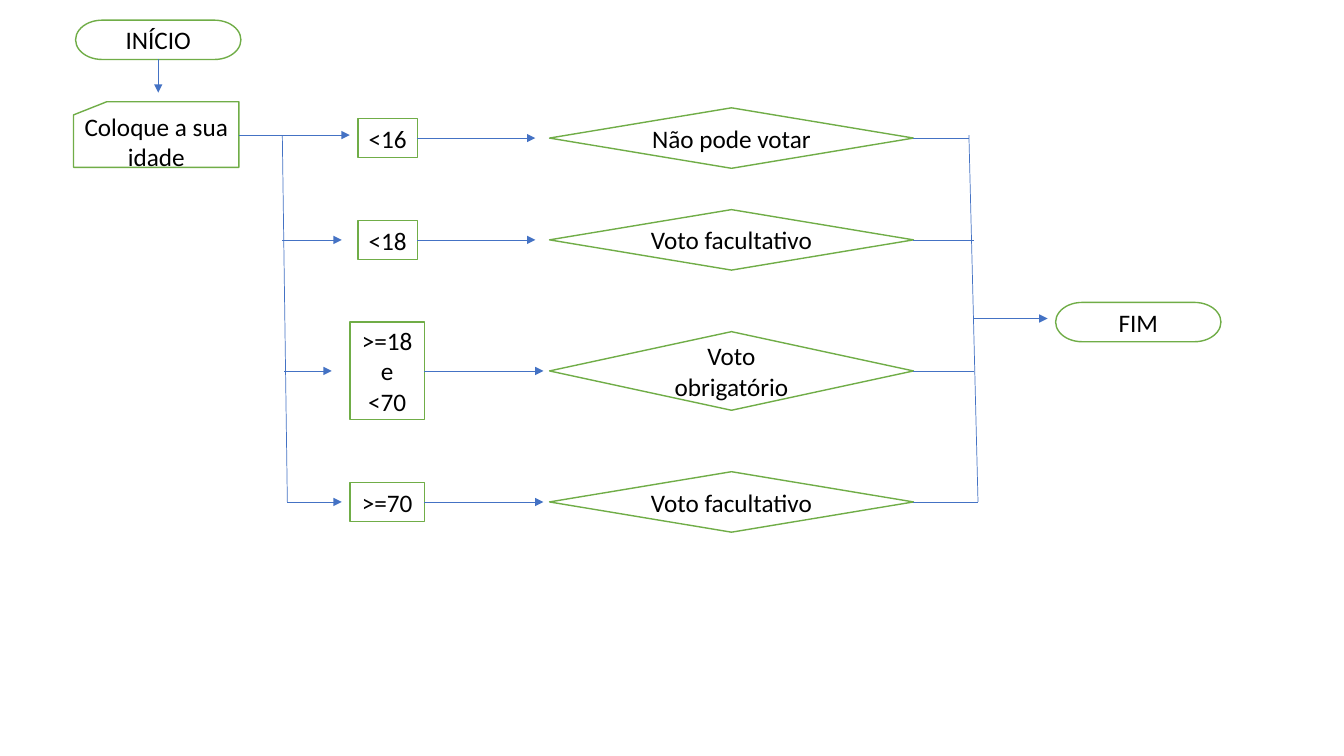
from dataclasses import dataclass

from lxml import etree
from pptx import Presentation
from pptx.dml.color import RGBColor
from pptx.enum import shapes as kinds, text as txt
from pptx.oxml import ns
from pptx.util import Inches, Pt

GREEN, BLUE, WHITE, BLACK = "70AD47", "4472C4", "FFFFFF", "000000"
SHAPE = kinds.MSO_SHAPE
RESULT_LEFT, RESULT_WIDTH = 5.45, 3.61
TERMINAL_WIDTH, TERMINAL_HEIGHT = 1.64, 0.39


@dataclass
class Step:
    label: str
    kind: int
    left: float
    top: float
    width: float
    height: float


@dataclass
class Flow:
    x1: float
    y1: float
    x2: float
    y2: float
    arrow: bool = True


@dataclass
class Branch:
    condition: str
    result: str
    middle: float
    condition_left: float
    condition_width: float
    condition_height: float
    result_height: float
    result_arrow_end: float
    merge_x: float

    def steps(self) -> list[Step]:
        return [
            Step(self.condition, SHAPE.RECTANGLE, self.condition_left,
                 self.middle - self.condition_height / 2,
                 self.condition_width, self.condition_height),
            Step(self.result, SHAPE.FLOWCHART_DECISION, RESULT_LEFT,
                 self.middle - self.result_height / 2,
                 RESULT_WIDTH, self.result_height),
        ]

    def flows(self) -> list[Flow]:
        condition_right = self.condition_left + self.condition_width
        return [
            Flow(condition_right, self.middle, self.result_arrow_end, self.middle),
            Flow(RESULT_LEFT + RESULT_WIDTH, self.middle,
                 self.merge_x, self.middle, arrow=False),
        ]


def color(hex_value: str) -> RGBColor:
    return RGBColor.from_string(hex_value)


def draw_step(slide, step: Step) -> None:
    box = slide.shapes.add_shape(step.kind, Inches(step.left), Inches(step.top),
                                 Inches(step.width), Inches(step.height))
    box.shadow.inherit = False
    box.fill.solid()
    box.fill.fore_color.rgb = color(WHITE)
    box.line.color.rgb = color(GREEN)
    box.line.width = Pt(1)
    frame = box.text_frame
    frame.word_wrap = True
    frame.vertical_anchor = txt.MSO_ANCHOR.MIDDLE
    frame.text = step.label
    paragraph = frame.paragraphs[0]
    paragraph.alignment = txt.PP_ALIGN.CENTER
    font = paragraph.runs[0].font
    font.name = "Calibri"
    font.size = Pt(18)
    font.color.rgb = color(BLACK)


def draw_flow(slide, flow: Flow) -> None:
    line = slide.shapes.add_connector(
        kinds.MSO_CONNECTOR.STRAIGHT, Inches(flow.x1), Inches(flow.y1),
        Inches(flow.x2), Inches(flow.y2))
    line.line.color.rgb = color(BLUE)
    line.line.width = Pt(0.5)
    if flow.arrow:
        etree.SubElement(line.line._get_or_add_ln(), ns.qn("a:tailEnd"), type="triangle")
    etree.SubElement(line._element.spPr, ns.qn("a:effectLst"))


# Start, question and end
MAIN_STEPS = [
    Step("INÍCIO", SHAPE.FLOWCHART_TERMINATOR, 0.75, 0.2, TERMINAL_WIDTH, TERMINAL_HEIGHT),
    Step("Coloque a sua idade", SHAPE.FLOWCHART_CARD, 0.73, 1.01, 1.64, 0.65),
    Step("FIM", SHAPE.FLOWCHART_TERMINATOR, 10.47, 3, TERMINAL_WIDTH, TERMINAL_HEIGHT),
]

# One branch per age range
BRANCHES = [
    Branch("<16", "Não pode votar", 1.37, 3.55, 0.59, 0.39, 0.6, 5.31, 9.61),
    Branch("<18", "Voto facultativo", 2.38, 3.55, 0.59, 0.39, 0.6, 5.31, 9.66),
    Branch(">=18 e <70", "Voto obrigatório", 3.68, 3.47, 0.74, 0.97, 0.78, 5.39, 9.66),
    Branch(">=70", "Voto facultativo", 4.98, 3.47, 0.74, 0.39, 0.6, 5.39, 9.7),
]

# Distribution to the branches, and their merge towards the end
MAIN_FLOWS = [
    Flow(1.57, 0.59, 1.57, 0.92),
    Flow(2.37, 1.34, 3.47, 1.34),
    Flow(2.8, 1.34, 2.85, 4.98, arrow=False),
    Flow(2.8, 2.38, 3.39, 2.38),
    Flow(2.82, 3.68, 3.29, 3.68),
    Flow(2.85, 4.98, 3.39, 4.98),
    Flow(9.61, 1.34, 9.7, 4.98, arrow=False),
    Flow(9.66, 3.16, 10.39, 3.16),
]


def main() -> None:
    deck = Presentation()
    deck.slide_width, deck.slide_height = Inches(13.33), Inches(7.5)
    slide = deck.slides.add_slide(deck.slide_layouts[6])
    steps, flows = list(MAIN_STEPS), list(MAIN_FLOWS)
    for branch in BRANCHES:
        steps += branch.steps()
        flows += branch.flows()
    for step in steps:
        draw_step(slide, step)
    for flow in flows:
        draw_flow(slide, flow)
    deck.save("out.pptx")


if __name__ == "__main__":
    main()
